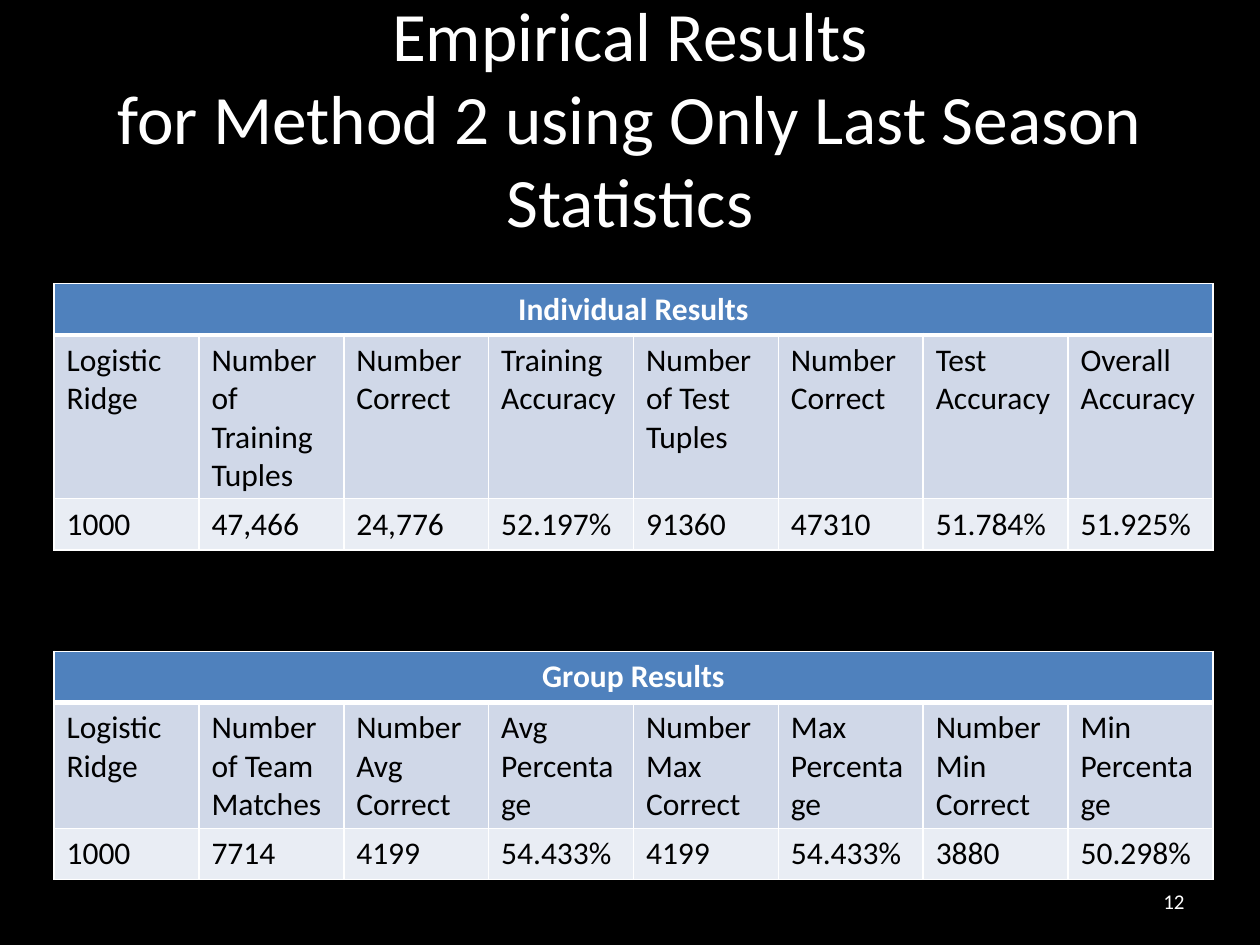
from lxml import etree
from pptx import Presentation, util as u
from pptx.dml.color import RGBColor
from pptx.enum import text
from pptx.oxml.ns import qn

BLACK = RGBColor(0x00, 0x00, 0x00)
WHITE = RGBColor(0xFF, 0xFF, 0xFF)
HEADER_BLUE = RGBColor(0x4F, 0x81, 0xBD)
LABEL_BLUE = RGBColor(0xD0, 0xD8, 0xE8)
VALUE_BLUE = RGBColor(0xE9, 0xED, 0xF4)
COLUMN_WIDTH, ROW_HEIGHT = u.Cm(2.92), u.Cm(1.03)

RESULTS = [
    ("Individual Results", 5.72,
     ["Logistic Ridge", "Number of Training Tuples", "Number Correct",
      "Training Accuracy", "Number of Test Tuples", "Number Correct",
      "Test Accuracy", "Overall Accuracy"],
     ["1000", "47,466", "24,776", "52.197%", "91360", "47310", "51.784%", "51.925%"]),
    ("Group Results", 13.13,
     ["Logistic Ridge", "Number of Team Matches", "Number Avg Correct",
      "Avg Percentage", "Number Max Correct", "Max Percentage",
      "Number Min Correct", "Min Percentage"],
     ["1000", "7714", "4199", "54.433%", "4199", "54.433%", "3880", "50.298%"]),
]


def write(frame, words, align, color, **font_values):
    frame.text = words
    paragraph = frame.paragraphs[0]
    paragraph.alignment = align
    paragraph.font.color.rgb = color
    for name, value in {"name": "Calibri", **font_values}.items():
        setattr(paragraph.font, name, value)


def set_borders(cell, widths):
    """Draw white borders; widths are points for left, right, top and bottom."""
    properties = cell._tc.get_or_add_tcPr()
    for position, (side, width) in enumerate(zip("LRTB", widths)):
        line = etree.Element(qn(f"a:ln{side}"), w=str(u.Pt(width)))
        fill = etree.SubElement(line, qn("a:solidFill"))
        etree.SubElement(fill, qn("a:srgbClr"), val=str(WHITE))
        properties.insert(position, line)


deck = Presentation()
deck.slide_width, deck.slide_height = u.Cm(25.4), u.Cm(19.05)
slide = deck.slides.add_slide(deck.slide_layouts[5])
slide.background.fill.solid()
slide.background.fill.fore_color.rgb = BLACK

title = slide.shapes.title
title.left, title.top, title.width, title.height = (
    u.Cm(1.27), u.Cm(0.76), u.Cm(22.86), u.Cm(3.18))
title.text_frame.auto_size = text.MSO_AUTO_SIZE.NONE
title.text_frame.vertical_anchor = text.MSO_ANCHOR.MIDDLE
write(title.text_frame,
      "Empirical Results\vfor Method 2 using Only Last Season Statistics",
      text.PP_ALIGN.CENTER, WHITE, size=u.Pt(39.6))

page_number = slide.shapes.add_textbox(
    u.Cm(18.2), u.Cm(17.66), u.Cm(5.93), u.Cm(1.01)).text_frame
page_number.word_wrap = True
page_number.vertical_anchor = text.MSO_ANCHOR.MIDDLE
write(page_number, "12", text.PP_ALIGN.RIGHT, WHITE, size=u.Pt(12))

for heading, top, labels, values in RESULTS:
    table = slide.shapes.add_table(
        3, len(labels), u.Cm(1.09), u.Cm(top),
        COLUMN_WIDTH * len(labels), ROW_HEIGHT * 3).table
    for column in table.columns:
        column.width = COLUMN_WIDTH
    table.cell(0, 0).merge(table.cell(0, len(labels) - 1))

    rows = [
        ([heading], HEADER_BLUE, WHITE, text.PP_ALIGN.CENTER, (1, 1, 1, 3)),
        (labels, LABEL_BLUE, BLACK, text.PP_ALIGN.LEFT, (1, 1, 3, 1)),
        (values, VALUE_BLUE, BLACK, text.PP_ALIGN.LEFT, (1, 1, 1, 1)),
    ]
    for row, (entries, fill, color, align, borders) in zip(table.rows, rows):
        row.height = ROW_HEIGHT
        for cell in row.cells:
            cell.fill.solid()
            cell.fill.fore_color.rgb = fill
            set_borders(cell, borders)
        for cell, entry in zip(row.cells, entries):
            write(cell.text_frame, entry, align, color,
                  size=u.Pt(18), bold=fill == HEADER_BLUE)

deck.save("out.pptx")
